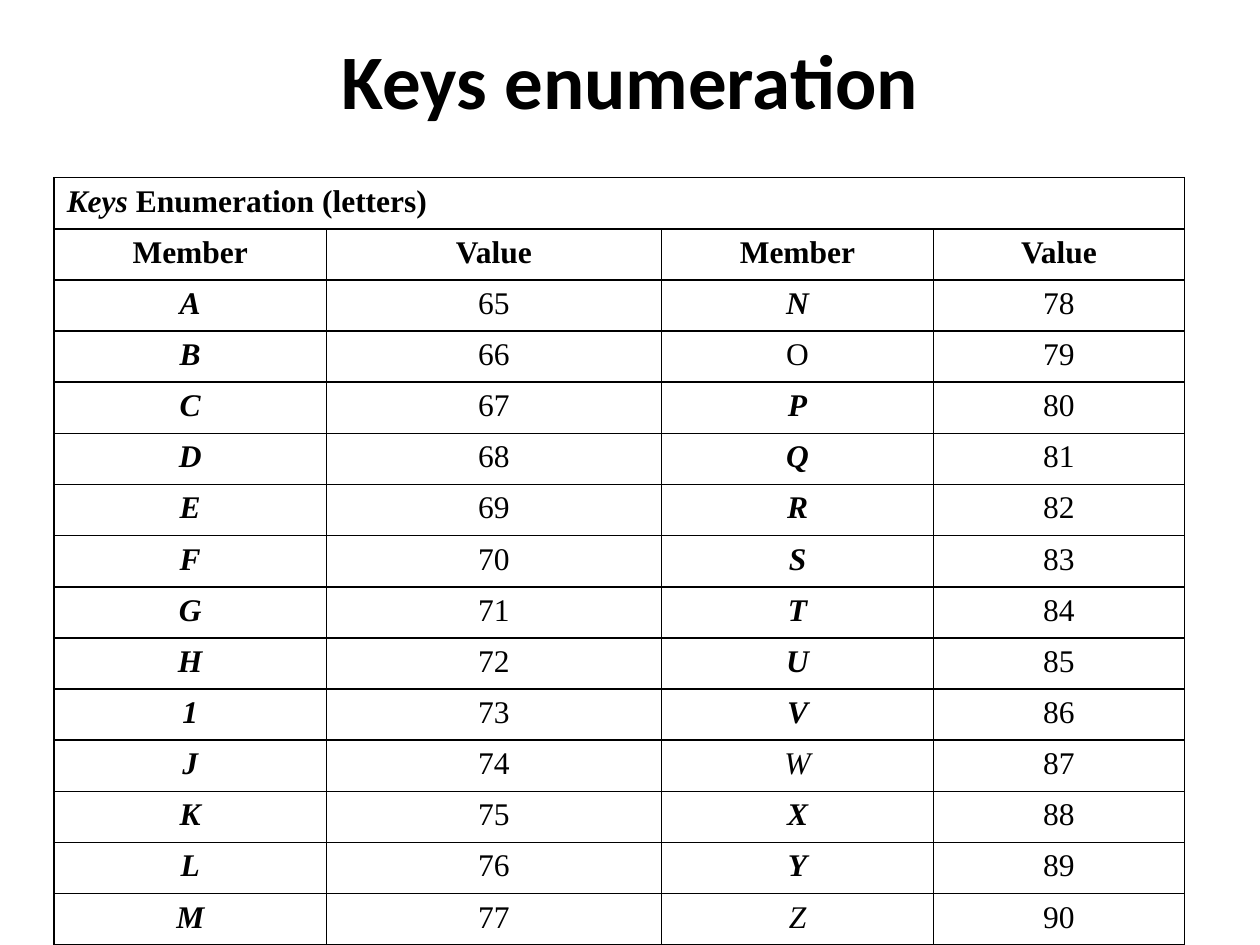
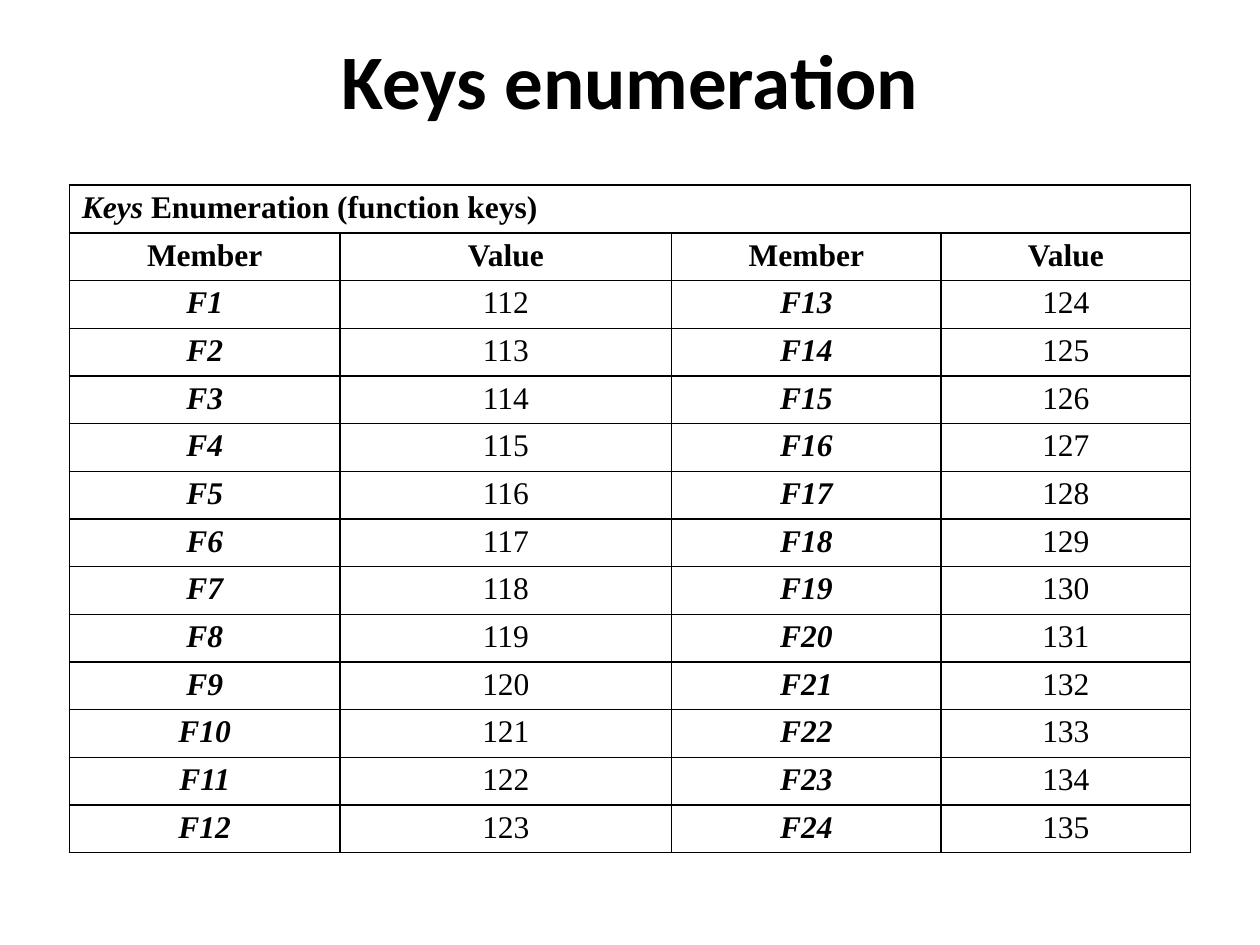
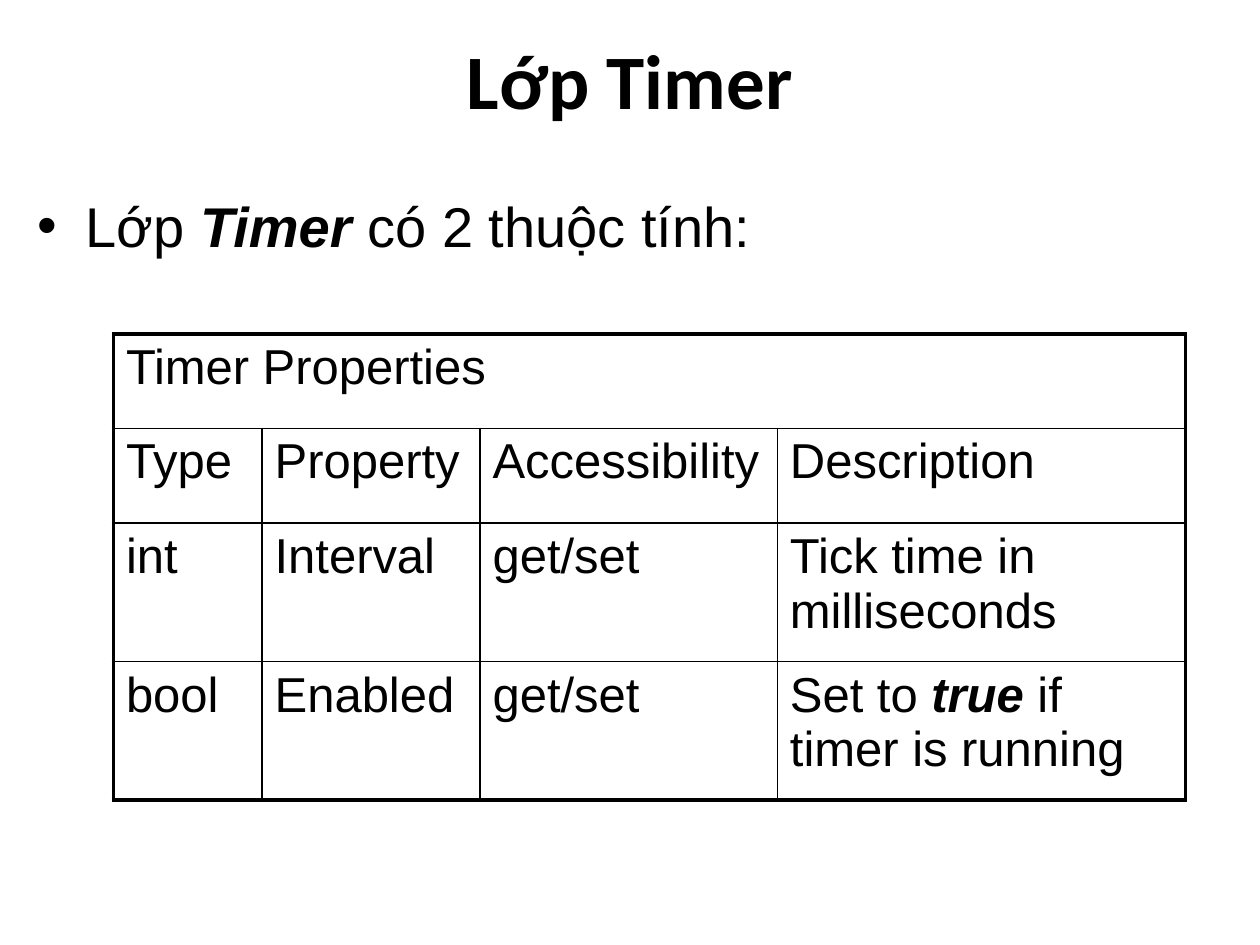
"""Build three slides on the Keys enumeration and the Timer class."""
import lxml.etree
import pptx
import pptx.dml.color
import pptx.enum.text
import pptx.oxml.ns
import pptx.util

Inches = pptx.util.Inches
Pt = pptx.util.Pt
qn = pptx.oxml.ns.qn
ALIGN = pptx.enum.text.PP_ALIGN
ANCHOR = pptx.enum.text.MSO_ANCHOR

BLACK = "000000"
WHITE = "FFFFFF"
TITLE_FONT, KEYS_FONT, BODY_FONT = "Calibri", "Times New Roman", "Arial"
THIN, THICK = 1, 2.25
UNUSUAL_STYLES = {"O": "", "W": "i", "Z": "i"}


def color(hex_text):
    """Return the colour for a hex string."""
    return pptx.dml.color.RGBColor.from_string(hex_text)


def write_runs(paragraph, runs, font_name, size, align=ALIGN.LEFT):
    """Fill a paragraph with (text, style) runs, where style may hold b and i."""
    paragraph.alignment = align
    for text, style in runs:
        run = paragraph.add_run()
        run.text = text
        run.font.name = font_name
        run.font.size = Pt(size)
        run.font.bold = "b" in style
        run.font.italic = "i" in style
        run.font.color.rgb = color(BLACK)


def add_titled_slide(presentation, title):
    """Add a title-only slide with a white background and a bold centred title."""
    slide = presentation.slides.add_slide(presentation.slide_layouts[5])
    slide.background.fill.solid()
    slide.background.fill.fore_color.rgb = color(WHITE)
    shape = slide.shapes.title
    shape.left, shape.top = Inches(0.5), Inches(0)
    shape.width, shape.height = Inches(9), Inches(1.25)
    shape.text_frame.vertical_anchor = ANCHOR.MIDDLE
    write_runs(shape.text_frame.paragraphs[0], [(title, "b")], TITLE_FONT, 44, ALIGN.CENTER)
    return slide


def set_borders(cell, widths):
    """Draw black cell borders with widths in left, right, top, bottom order."""
    properties = cell._tc.get_or_add_tcPr()
    for index, (side, width) in enumerate(zip("LRTB", widths)):
        line = lxml.etree.Element(qn(f"a:ln{side}"), w=str(Pt(width)))
        fill = lxml.etree.SubElement(line, qn("a:solidFill"))
        lxml.etree.SubElement(fill, qn("a:srgbClr"), val=BLACK)
        properties.insert(index, line)


def add_grid(slide, box, column_widths, row_heights, rows, font_name, size,
             align=ALIGN.LEFT, outer=THIN, padding=0.05):
    """Add a table whose first row is one heading merged over all columns."""
    left, top = box
    table = slide.shapes.add_table(
        len(rows), len(column_widths), Inches(left), Inches(top),
        Inches(sum(column_widths)), Inches(sum(row_heights))).table
    table.first_row = table.horz_banding = False
    for column, width in zip(table.columns, column_widths):
        column.width = Inches(width)
    last_row, last_column = len(rows) - 1, len(column_widths) - 1
    for row_index, (row, height) in enumerate(zip(rows, row_heights)):
        table.rows[row_index].height = Inches(height)
        for column_index in range(last_column + 1):
            cell = table.cell(row_index, column_index)
            cell.margin_top = cell.margin_bottom = Inches(padding)
            cell.fill.background()
            edges = (column_index == 0, column_index == last_column,
                     row_index == 0, row_index == last_row)
            if row_index == 0:
                edges = (True, True, True, False)
            set_borders(cell, [outer if edge else THIN for edge in edges])
            if column_index < len(row):
                write_runs(cell.text_frame.paragraphs[0], row[column_index], font_name, size,
                           ALIGN.LEFT if row_index == 0 else align)
    table.cell(0, 0).merge(table.cell(0, last_column))


def keys_slide(presentation, group, members, first_value, box, column_widths, height, padding):
    """Add a slide listing key members and their consecutive values in two halves."""
    slide = add_titled_slide(presentation, "Keys enumeration")
    rows = [[[("Keys ", "bi"), (f"Enumeration ({group})", "b")]],
            [[(label, "b")] for label in ("Member", "Value") * 2]]
    half = len(members) // 2
    for index in range(half):
        row = []
        for position in (index, index + half):
            member = members[position]
            row.append([(member, UNUSUAL_STYLES.get(member, "bi"))])
            row.append([(str(first_value + position), "")])
        rows.append(row)
    row_heights = [height / len(rows)] * len(rows)
    add_grid(slide, box, column_widths, row_heights, rows, KEYS_FONT, 18,
             ALIGN.CENTER, padding=padding)


def add_bullet(slide, box, runs):
    """Add one bulleted line with a hanging indent."""
    shape = slide.shapes.add_textbox(*(Inches(length) for length in box))
    shape.text_frame.word_wrap = True
    paragraph = shape.text_frame.paragraphs[0]
    write_runs(paragraph, runs, BODY_FONT, 32)
    paragraph.space_before = Pt(3)
    properties = paragraph._p.get_or_add_pPr()
    properties.set("marL", str(Inches(0.38)))
    properties.set("indent", str(Inches(-0.38)))
    lxml.etree.SubElement(properties, qn("a:buFont"), typeface=BODY_FONT)
    lxml.etree.SubElement(properties, qn("a:buChar"), char="•")


def timer_slide(presentation):
    """Add the slide on the properties of the Timer class."""
    slide = add_titled_slide(presentation, "Lớp Timer")
    add_bullet(slide, (0.2, 1.47, 9.53, 0.87),
               [("Lớp ", ""), ("Timer ", "bi"), ("có 2 thuộc tính:", "")])
    texts = [["Timer Properties"],
             ["Type", "Property", "Accessibility", "Description"],
             ["int", "Interval", "get/set", "Tick time in milliseconds"],
             ["bool", "Enabled", "get/set"]]
    rows = [[[(text, "")] for text in row] for row in texts]
    rows[-1].append([("Set to ", ""), ("true", "bi"), (" if timer is running", "")])
    add_grid(slide, (0.9, 2.65), [1.18, 1.73, 2.36, 3.24], [0.75, 0.75, 1.1, 1.1],
             rows, BODY_FONT, 28, outer=THICK)


def main():
    """Build and save the presentation."""
    presentation = pptx.Presentation()
    presentation.slide_width, presentation.slide_height = Inches(10), Inches(7.5)
    letters = list("ABCDEFGH1JKLMNOPQRSTUVWXYZ")
    function_keys = [f"F{number}" for number in range(1, 25)]
    keys_slide(presentation, "letters", letters, 65, (0.43, 1.41),
               [2.16, 2.66, 2.16, 1.99], 6.09, 0.05)
    keys_slide(presentation, "function keys", function_keys, 112, (0.55, 1.47),
               [2.15, 2.63, 2.14, 1.98], 5.3, 0.04)
    timer_slide(presentation)
    presentation.save("out.pptx")


if __name__ == "__main__":
    main()
